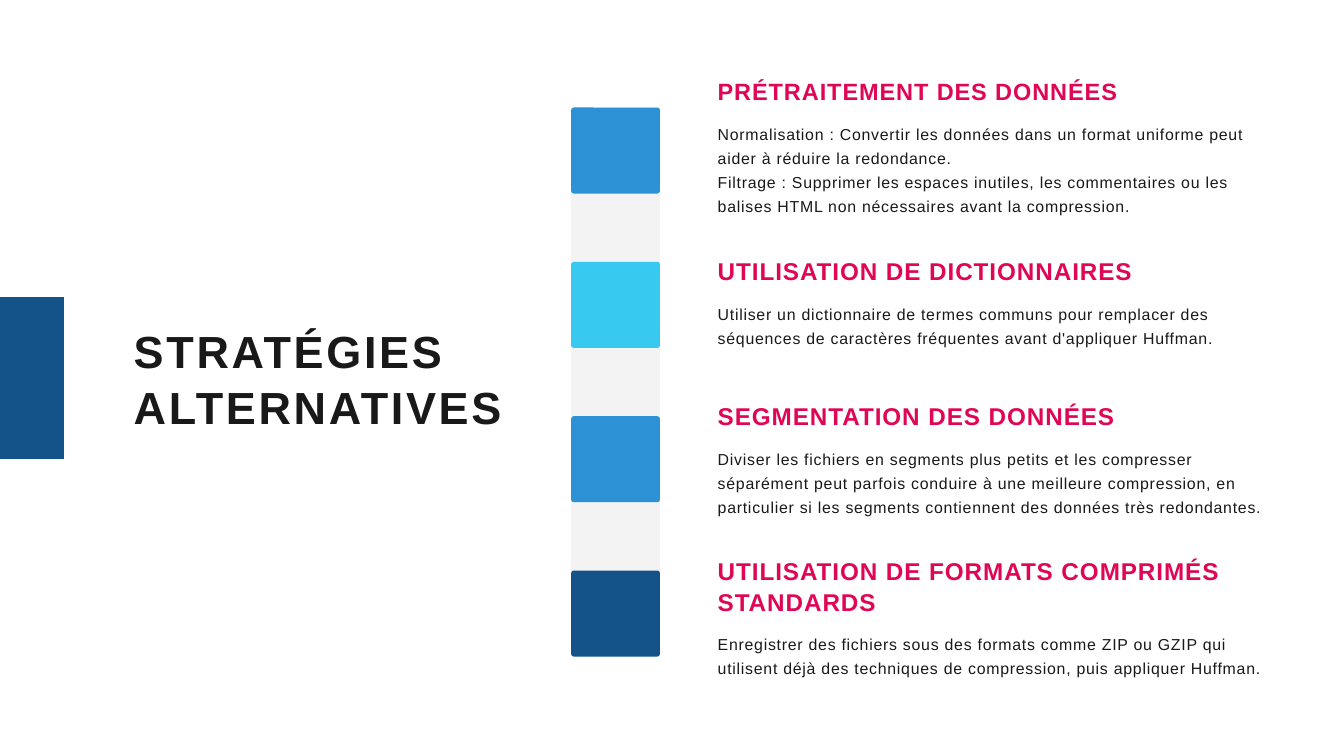
from typing import NamedTuple

from lxml.etree import SubElement
from pptx import Presentation
from pptx.dml.color import RGBColor
from pptx.enum.shapes import MSO_SHAPE
from pptx.enum.text import MSO_ANCHOR, MSO_AUTO_SIZE, PP_ALIGN
from pptx.oxml.ns import qn
from pptx.util import Inches, Pt

COLORS = {
    "ink": "191919",
    "pink": "E00655",
    "blue": "2C92D5",
    "cyan": "37C9EF",
    "navy": "13538A",
}


class TextStyle(NamedTuple):
    size: float
    line: float
    tracking: float
    color: str
    bold: bool = False


class Section(NamedTuple):
    heading: str
    paragraphs: list[str]
    top: float
    tile_color: str
    heading_style: TextStyle
    heading_height: float = 0.45
    body_height: float = 1.04


TITLE = TextStyle(48.2, 59.3, 2.9, "ink", True)
HEADING = TextStyle(26, 33.5, 1, "pink", True)
BODY = TextStyle(17, 25.5, 0.8, "ink")

SECTIONS = [
    Section(
        "PRÉTRAITEMENT DES DONNÉES",
        [
            "Normalisation : Convertir les données dans un format uniforme peut "
            "aider à réduire la redondance.",
            "Filtrage : Supprimer les espaces inutiles, les commentaires ou les "
            "balises HTML non nécessaires avant la compression.",
        ],
        1.12, "blue", HEADING._replace(size=25.2, line=32.6), 0.44, 1.39,
    ),
    Section(
        "UTILISATION DE DICTIONNAIRES",
        ["Utiliser un dictionnaire de termes communs pour remplacer des "
         "séquences de caractères fréquentes avant d'appliquer Huffman."],
        3.78, "cyan", HEADING, body_height=0.68,
    ),
    Section(
        "SEGMENTATION DES DONNÉES",
        ["Diviser les fichiers en segments plus petits et les compresser "
         "séparément peut parfois conduire à une meilleure compression, en "
         "particulier si les segments contiennent des données très redondantes."],
        5.94, "blue", HEADING,
    ),
    Section(
        "UTILISATION DE FORMATS COMPRIMÉS STANDARDS",
        ["Enregistrer des fichiers sous des formats comme ZIP ou GZIP qui "
         "utilisent déjà des techniques de compression, puis appliquer Huffman."],
        8.24, "navy", HEADING, heading_height=0.91,
    ),
]

TEXT_LEFT, TEXT_WIDTH, BODY_GAP = 10.68, 8.19, 0.23
TILE_LEFT, TILE_TOP, TILE_WIDTH, TILE_HEIGHT = 8.5, 1.6, 1.32, 1.28
COLUMN_HEIGHT, CORNER = 8.17, 0.04
TILE_STEP = (COLUMN_HEIGHT - TILE_HEIGHT) / (len(SECTIONS) - 1)


def write_text(s, paragraphs: list[str], style: TextStyle) -> None:
    tf = s.text_frame
    tf.text = "\n".join(paragraphs)
    tf.word_wrap = True
    tf.auto_size = MSO_AUTO_SIZE.NONE
    tf.vertical_anchor = MSO_ANCHOR.TOP
    tf.margin_left = tf.margin_right = tf.margin_top = tf.margin_bottom = 0
    for p in tf.paragraphs:
        p.alignment = PP_ALIGN.LEFT
        p.line_spacing = Pt(style.line)
        for r in p.runs:
            r.font.name = "Arial"
            r.font.size = Pt(style.size)
            r.font.bold = style.bold
            r.font.color.rgb = RGBColor.from_string(COLORS[style.color])
            r._r.get_or_add_rPr().set("spc", str(round(style.tracking * 100)))


def add_text(slide, top: float, height: float, paragraphs: list[str],
             style: TextStyle) -> None:
    s = slide.shapes.add_textbox(Inches(TEXT_LEFT), Inches(top),
                                 Inches(TEXT_WIDTH), Inches(height))
    write_text(s, paragraphs, style)


def add_block(slide, kind: MSO_SHAPE, left: float, top: float, width: float,
              height: float, color: str):
    s = slide.shapes.add_shape(kind, Inches(left), Inches(top),
                               Inches(width), Inches(height))
    s.shadow.inherit = False
    s.fill.solid()
    s.fill.fore_color.rgb = RGBColor.from_string(COLORS[color])
    s.line.fill.background()
    return s


def set_opacity(s, percent: int) -> None:
    color = s._element.spPr.find(f"{qn('a:solidFill')}/{qn('a:srgbClr')}")
    SubElement(color, qn("a:alpha")).set("val", str(percent * 1000))


def main() -> None:
    prs = Presentation()
    prs.slide_width, prs.slide_height = Inches(20), Inches(11.25)
    slide = prs.slides.add_slide(prs.slide_layouts[5])

    title = slide.shapes.title
    title.left, title.top = Inches(1.99), Inches(4.8)
    title.width, title.height = Inches(6.52), Inches(1.65)
    write_text(title, ["STRATÉGIES ALTERNATIVES"], TITLE)

    column = add_block(slide, MSO_SHAPE.RECTANGLE, TILE_LEFT, TILE_TOP,
                       TILE_WIDTH, COLUMN_HEIGHT, "ink")
    set_opacity(column, 5)

    for i, section in enumerate(SECTIONS):
        tile = add_block(slide, MSO_SHAPE.ROUNDED_RECTANGLE, TILE_LEFT,
                         TILE_TOP + i * TILE_STEP, TILE_WIDTH, TILE_HEIGHT,
                         section.tile_color)
        tile.adjustments[0] = CORNER / TILE_HEIGHT
        add_text(slide, section.top, section.heading_height,
                 [section.heading], section.heading_style)
        add_text(slide, section.top + section.heading_height + BODY_GAP,
                 section.body_height, section.paragraphs, BODY)

    add_block(slide, MSO_SHAPE.RECTANGLE, -0.17, 4.42, 1.12, 2.41, "navy")
    prs.save("out.pptx")


if __name__ == "__main__":
    main()
